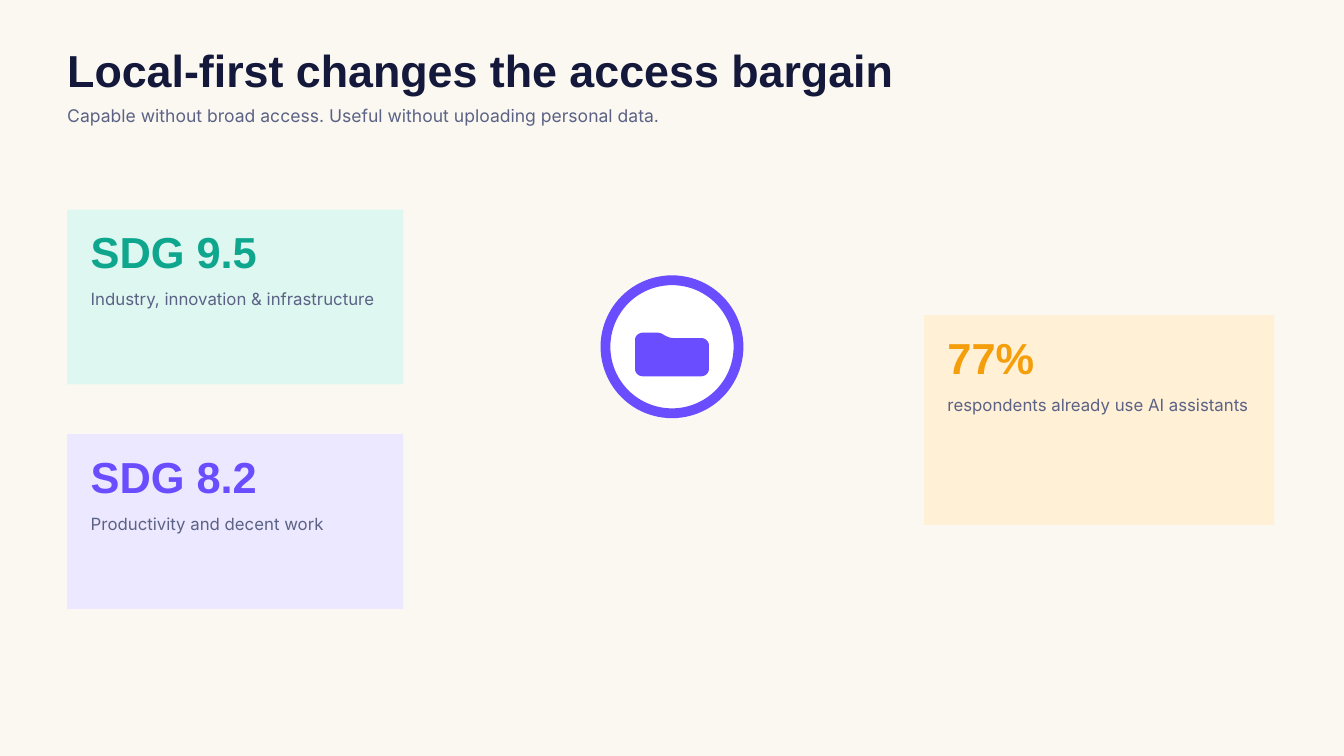
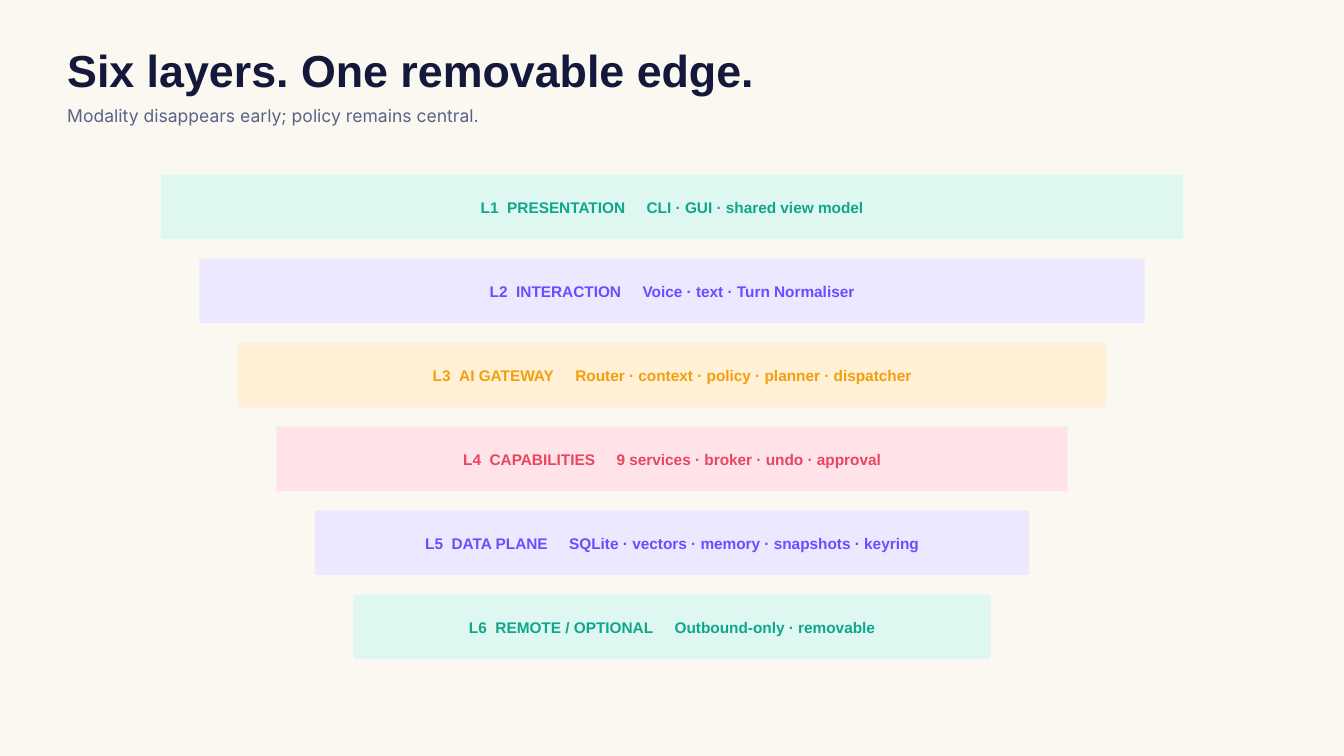
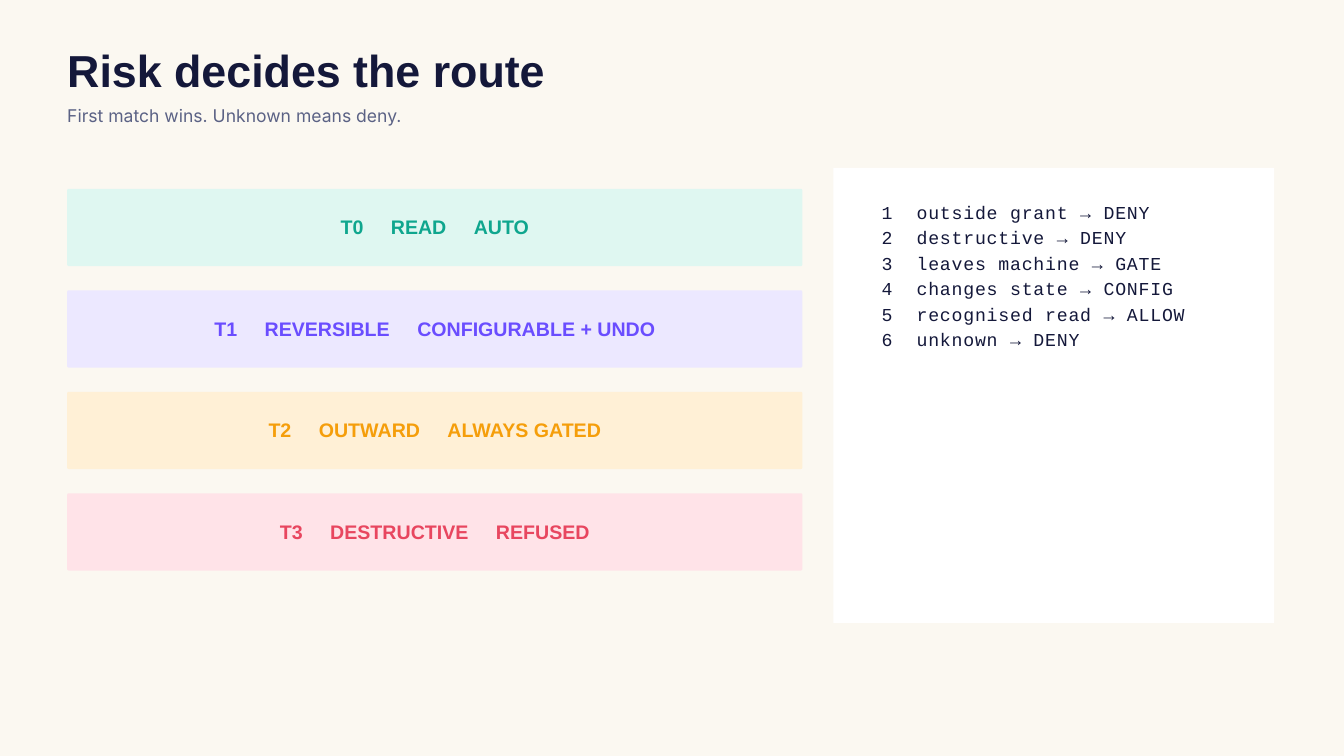
from lxml import etree
from pptx import Presentation
from pptx.dml.color import RGBColor
from pptx.enum.shapes import MSO_SHAPE
from pptx.enum.text import MSO_ANCHOR, MSO_AUTO_SIZE, PP_ALIGN
from pptx.oxml.ns import qn
from pptx.util import Inches, Pt

RECT, ROUNDED, OVAL = MSO_SHAPE.RECTANGLE, MSO_SHAPE.ROUNDED_RECTANGLE, MSO_SHAPE.OVAL
TOP, MIDDLE = MSO_ANCHOR.TOP, MSO_ANCHOR.MIDDLE
FIT, FIXED = MSO_AUTO_SIZE.SHAPE_TO_FIT_TEXT, MSO_AUTO_SIZE.NONE
LEFT, CENTER = PP_ALIGN.LEFT, PP_ALIGN.CENTER

PAPER, WHITE, INK, MUTED = "FBF8F1", "FFFFFF", "14183A", "5B6285"
MINT = ("0FA68E", "DFF7F1")
VIOLET = ("6A4DFF", "ECE8FF")
AMBER = ("F59E0B", "FFF0D6")
ROSE = ("E8465F", "FFE3E8")

TITLE = {"name": "Arial", "size": Pt(48), "bold": True}
SUBTITLE = {"name": "Inter", "size": Pt(18.8)}
FIGURE = {"name": "Arial", "size": Pt(46.5), "bold": True}
CAPTION = {"name": "Inter", "size": Pt(18)}
LAYER = {"name": "Arial", "size": Pt(16.5), "bold": True}
TIER = {"name": "Arial", "size": Pt(21), "bold": True}
CODE = {"name": "Courier New", "size": Pt(19.5)}

SPACE_WIDTH = 0.28
BAR_LEADING = 1.4


def rgb(value):
    """Return the colour for a hex string."""
    return RGBColor.from_string(value)


def spaced(parts, gaps, size):
    """Join parts with single spaces, each tracked out to a number of space widths."""
    runs = [(parts[0], 0)]
    for part, gap in zip(parts[1:], gaps):
        runs += [(" ", (gap - 1) * SPACE_WIDTH * size.pt), (part, 0)]
    return runs


def curve(p0, p1, p2, p3, steps=8):
    """Return points along a cubic curve, without its start."""
    points = []
    for i in range(1, steps + 1):
        t = i / steps
        u = 1 - t
        points.append(tuple(u**3 * a + 3 * u * u * t * b + 3 * u * t * t * c + t**3 * d
                            for a, b, c, d in zip(p0, p1, p2, p3)))
    return points


class Deck:
    """Hold the deck style, the current slide and the group being filled."""

    def __init__(self):
        """Start an empty widescreen presentation."""
        self.prs = Presentation()
        self.prs.slide_width, self.prs.slide_height = Inches(20), Inches(11.25)

    def slide(self, title, subtitle):
        """Add a slide with its background and heading."""
        self.s = self.prs.slides.add_slide(self.prs.slide_layouts[6])
        self.s.background.fill.solid()
        self.s.background.fill.fore_color.rgb = rgb(PAPER)
        self.shapes = self.s.shapes
        self.text(1, 0.73, 15.62, 0.82, [[(title, 0)]], TITLE, INK, 50.4)
        self.text(1, 1.53, 15.62, 0.34, [[(subtitle, 0)]], SUBTITLE, MUTED, 25.3)

    def group(self):
        """Send the elements that follow into a new group."""
        self.shapes = self.s.shapes.add_group_shape().shapes

    def paint(self, sp, fill, line=None, width=0):
        """Give a shape a plain fill and an optional outline."""
        sp.shadow.inherit = False
        sp.fill.solid()
        sp.fill.fore_color.rgb = rgb(fill)
        if line:
            sp.line.color.rgb = rgb(line)
            sp.line.width = Pt(width)
        else:
            sp.line.fill.background()

    def shape(self, kind, x, y, w, h, fill, line=None, width=0):
        """Add a preset shape."""
        sp = self.shapes.add_shape(kind, *map(Inches, (x, y, w, h)))
        self.paint(sp, fill, line, width)
        return sp

    def outline(self, start, segments, fill):
        """Add a closed outline of lines (one point) and curves (three points)."""
        points = [start]
        for seg in segments:
            points += seg if len(seg) == 1 else curve(points[-1], *seg)
        emu = [(Inches(x), Inches(y)) for x, y in points]
        builder = self.shapes.build_freeform(*emu[0], scale=1)
        builder.add_line_segments(emu[1:], close=True)
        self.paint(builder.convert_to_shape(), fill)

    def text(self, x, y, w, h, lines, font, color, leading, align=LEFT,
             anchor=TOP, inset=0, fit=FIT, hang=0):
        """Add a text box whose lines are lists of (text, tracking) runs."""
        tf = self.shapes.add_textbox(*map(Inches, (x, y, w, h))).text_frame
        frame = {"word_wrap": True, "auto_size": fit, "vertical_anchor": anchor}
        frame.update({f"margin_{side}": Inches(inset)
                      for side in ("left", "top", "right", "bottom")})
        for key, value in frame.items():
            setattr(tf, key, value)
        for i, runs in enumerate(lines):
            p = tf.add_paragraph() if i else tf.paragraphs[0]
            p.alignment, p.line_spacing = align, Pt(leading)
            if hang:
                self.hang(p, hang)
            for content, tracking in runs:
                r = p.add_run()
                r.text = content
                for key, value in font.items():
                    setattr(r.font, key, value)
                r.font.color.rgb = rgb(color)
                if tracking:
                    r._r.get_or_add_rPr().set("spc", str(round(tracking * 100)))

    def hang(self, p, indent):
        """Give a paragraph a hanging indent with a matching tab stop."""
        pPr = p._p.get_or_add_pPr()
        pPr.set("marL", str(Inches(indent)))
        pPr.set("indent", str(-Inches(indent)))
        tabs = etree.SubElement(pPr, qn("a:tabLst"))
        etree.SubElement(tabs, qn("a:tab"), pos=str(Inches(indent)), algn="l")

    def card(self, x, y, w, h, figure, caption, tone):
        """Add a tinted card with a large figure and a caption."""
        color, tint = tone
        self.group()
        self.shape(RECT, x, y, w, h, tint)
        self.text(x + 0.35, y + 0.33, w - 0.71, 0.8, [[(figure, 0)]], FIGURE, color, 48.8)
        self.text(x + 0.35, y + 1.14, w - 0.71, 0.32, [[(caption, 0)]], CAPTION, MUTED, 24.3)

    def bar(self, x, y, w, h, lift, parts, gaps, font, tone):
        """Add a tinted bar with a centred label that starts a little above it."""
        color, tint = tone
        self.group()
        self.shape(ROUNDED, x, y, w, h, tint).adjustments[0] = 0.02
        self.text(x, y - lift, w, h + lift, [spaced(parts, gaps, font["size"])], font, color,
                  font["size"].pt * BAR_LEADING, CENTER, MIDDLE, 0.06, FIXED)


def access_slide(deck):
    """Build the slide on local-first access."""
    deck.slide("Local-first changes the access bargain",
               "Capable without broad access. Useful without uploading personal data.")
    deck.group()
    deck.shape(OVAL, 9.01, 4.17, 1.98, 1.98, WHITE, VIOLET[0], 10.5)
    deck.outline((9.45, 5.06), [
        [(9.45, 5.49)], [(9.45, 5.55), (9.5, 5.6), (9.57, 5.6)],
        [(10.43, 5.6)], [(10.5, 5.6), (10.55, 5.55), (10.55, 5.49)],
        [(10.55, 5.14)], [(10.55, 5.08), (10.5, 5.03), (10.43, 5.03)],
        [(10.01, 5.03)], [(9.97, 5.03), (9.93, 5.01), (9.89, 4.99)],
        [(9.85, 4.96), (9.81, 4.95), (9.77, 4.95)],
        [(9.57, 4.95)], [(9.5, 4.95), (9.45, 5), (9.45, 5.06)],
    ], VIOLET[0])
    deck.card(1, 3.12, 5, 2.6, "SDG 9.5", "Industry, innovation & infrastructure", MINT)
    deck.card(1, 6.46, 5, 2.6, "SDG 8.2", "Productivity and decent work", VIOLET)
    deck.card(13.75, 4.69, 5.21, 3.12, "77%", "respondents already use AI assistants", AMBER)


def layers_slide(deck):
    """Build the funnel of six layers."""
    deck.slide("Six layers. One removable edge.",
               "Modality disappears early; policy remains central.")
    layers = [
        ("PRESENTATION", "CLI · GUI · shared view model", MINT),
        ("INTERACTION", "Voice · text · Turn Normaliser", VIOLET),
        ("AI GATEWAY", "Router · context · policy · planner · dispatcher", AMBER),
        ("CAPABILITIES", "9 services · broker · undo · approval", ROSE),
        ("DATA PLANE", "SQLite · vectors · memory · snapshots · keyring", VIOLET),
        ("REMOTE / OPTIONAL", "Outbound-only · removable", MINT),
    ]
    widest, narrowest = 15.21, 9.48
    for i, (name, detail, tone) in enumerate(layers):
        w = widest - (widest - narrowest) * i / (len(layers) - 1)
        deck.bar(10 - w / 2, 2.6 + 1.25 * i, w, 0.96, 0.05,
                 (f"L{i + 1}", name, detail), (2, 5), LAYER, tone)


def risk_slide(deck):
    """Build the risk tiers and the routing rules."""
    deck.slide("Risk decides the route", "First match wins. Unknown means deny.")
    tiers = [
        ("READ", "AUTO", MINT),
        ("REVERSIBLE", "CONFIGURABLE + UNDO", VIOLET),
        ("OUTWARD", "ALWAYS GATED", AMBER),
        ("DESTRUCTIVE", "REFUSED", ROSE),
    ]
    for i, (name, action, tone) in enumerate(tiers):
        deck.bar(1, 2.81 + 1.51 * i, 10.94, 1.15, 0.07,
                 (f"T{i}", name, action), (5, 5), TIER, tone)
    rules = ["outside grant → DENY", "destructive → DENY", "leaves machine → GATE",
             "changes state → CONFIG", "recognised read → ALLOW", "unknown → DENY"]
    deck.group()
    deck.shape(RECT, 12.4, 2.5, 6.56, 6.77, WHITE)
    deck.text(13.12, 2.94, 5.42, 2.23,
              [[(f"{n}\t{rule}", 0.8)] for n, rule in enumerate(rules, 1)],
              CODE, INK, 27.3, hang=0.52)


def main():
    """Build and save the deck."""
    deck = Deck()
    access_slide(deck)
    layers_slide(deck)
    risk_slide(deck)
    deck.prs.save("out.pptx")


if __name__ == "__main__":
    main()
